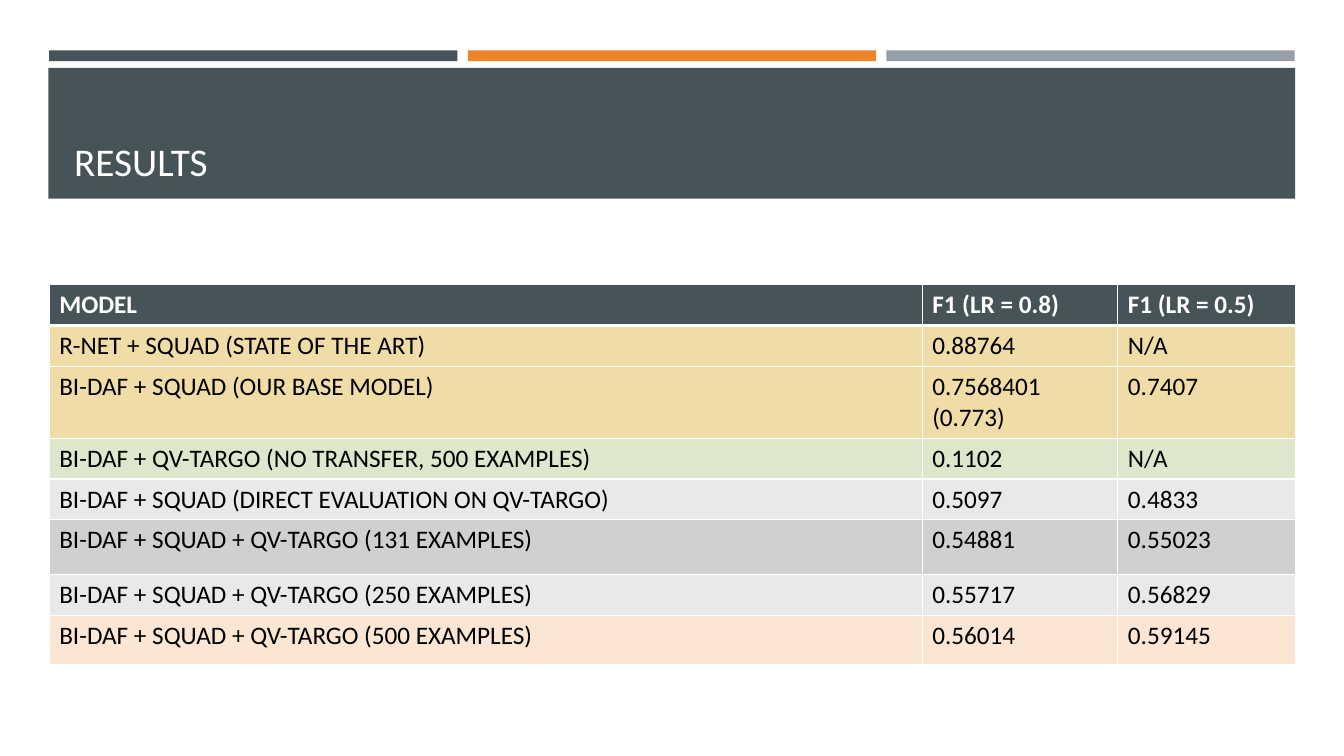
from lxml import etree
from pptx import Presentation
from pptx import util as u
from pptx.dml import color
from pptx.enum import shapes, text
from pptx.oxml import ns


def rgb(code):
    """Turn a hex string into a colour."""
    return color.RGBColor.from_string(code)


class Deck:
    """Hold the style and the current slide."""

    font, dark, white, black = "Calibri", "465359", "FFFFFF", "000000"

    def __init__(self):
        """Start a wide deck with one blank slide."""
        self.prs = Presentation()
        self.prs.slide_width = u.Cm(33.87)
        self.prs.slide_height = u.Cm(19.05)
        self.slide = self.prs.slides.add_slide(self.prs.slide_layouts[6])

    def bar(self, x, y, w, h, fill):
        """Draw a plain filled rectangle."""
        box = self.slide.shapes.add_shape(
            shapes.MSO_SHAPE.RECTANGLE, *map(u.Cm, (x, y, w, h)))
        box.shadow.inherit = False
        box.fill.solid()
        box.fill.fore_color.rgb = rgb(fill)
        box.line.fill.background()

    def run(self, frame, words, size, ink, bold=False):
        """Add one styled run to the first paragraph."""
        run = frame.paragraphs[0].add_run()
        run.text = words
        run.font.name = self.font
        run.font.size = u.Pt(size)
        run.font.bold = bold
        run.font.color.rgb = rgb(ink)

    def title(self, x, y, w, h, words):
        """Write the title at the foot of its box."""
        box = self.slide.shapes.add_textbox(*map(u.Cm, (x, y, w, h)))
        frame = box.text_frame
        frame.word_wrap = True
        frame.vertical_anchor = text.MSO_ANCHOR.BOTTOM
        self.run(frame, words, 28, self.white)

    def edge(self, cell, top, base):
        """Rule the four sides of a cell in white."""
        props = cell._tc.get_or_add_tcPr()
        for i, (side, width) in enumerate(zip("LRTB", (1, 1, top, base))):
            line = etree.Element(ns.qn(f"a:ln{side}"), w=str(u.Pt(width)))
            fill = etree.SubElement(line, ns.qn("a:solidFill"))
            etree.SubElement(fill, ns.qn("a:srgbClr"), val=self.white)
            props.insert(i, line)

    def table(self, x, y, cols, rows):
        """Build a table from rows of height, fill and cell words."""
        high = sum(row[0] for row in rows)
        grid = self.slide.shapes.add_table(
            len(rows), len(cols), *map(u.Cm, (x, y, sum(cols), high))).table
        for col, width in zip(grid.columns, cols):
            col.width = u.Cm(width)
        for r, (tall, fill, *words) in enumerate(rows):
            grid.rows[r].height = u.Cm(tall)
            head = r == 0
            for c, word in enumerate(words):
                cell = grid.cell(r, c)
                cell.fill.solid()
                cell.fill.fore_color.rgb = rgb(fill)
                ink = self.white if head else self.black
                self.run(cell.text_frame, word, 18, ink, head)
                self.edge(cell, 3 if r == 1 else 1, 3 if head else 1)


def main():
    """Build and save the results slide."""
    deck = Deck()
    for i, fill in enumerate((deck.dark, "ED8428", "969FA7")):
        deck.bar(1.24 + i * 10.55, 1.27, 10.29, 0.27, fill)
    deck.bar(1.22, 1.71, 31.42, 3.3, deck.dark)
    deck.title(1.62, 1.96, 30.63, 2.82, "RESULTS")
    low, gold, pale = 1.03, "F0DCA7", "E9E9EA"
    base, data = "BI-DAF + SQUAD", "QV-TARGO"
    more = f"{base} + {data}"
    deck.table(1.24, 7.17, (22, 4.93, 4.47), (
        (low, deck.dark, "MODEL", "F1 (LR = 0.8)", "F1 (LR = 0.5)"),
        (low, gold, "R-NET + SQUAD (STATE OF THE ART)", "0.88764", "N/A"),
        (1.81, gold, f"{base} (OUR BASE MODEL)",
         "0.7568401 (0.773)", "0.7407"),
        (low, "DDE7CB", f"BI-DAF + {data} (NO TRANSFER, 500 EXAMPLES)",
         "0.1102", "N/A"),
        (low, pale, f"{base} (DIRECT EVALUATION ON {data})",
         "0.5097", "0.4833"),
        (1.38, "CFD1D1", f"{more} (131 EXAMPLES)", "0.54881", "0.55023"),
        (low, pale, f"{more} (250 EXAMPLES)", "0.55717", "0.56829"),
        (1.24, "FBE6D4", f"{more} (500 EXAMPLES)", "0.56014", "0.59145"),
    ))
    deck.prs.save("out.pptx")


if __name__ == "__main__":
    main()
